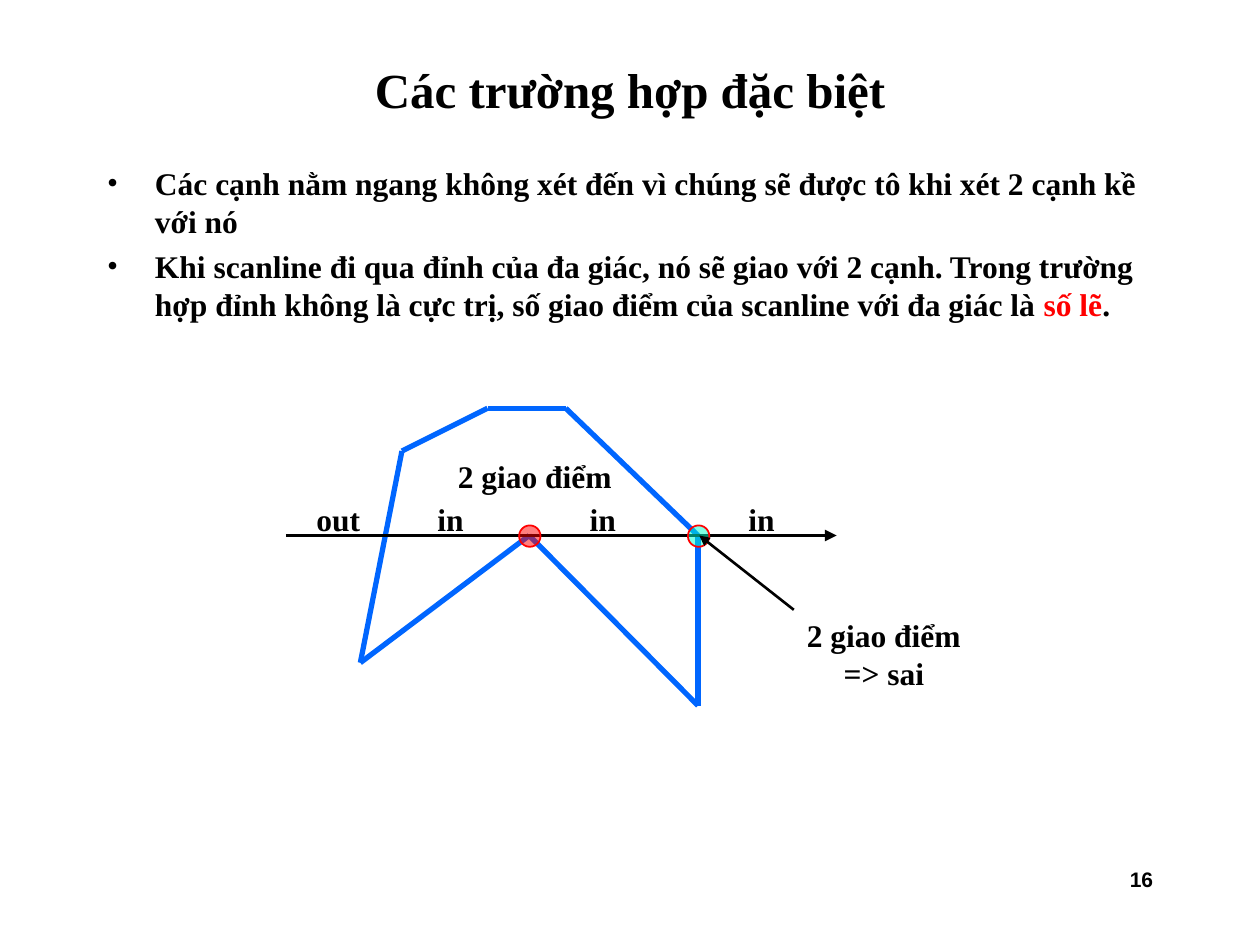
from dataclasses import dataclass

from pptx import Presentation
from pptx.dml.color import RGBColor
from pptx.enum.shapes import MSO_CONNECTOR, MSO_SHAPE
from pptx.enum.text import MSO_ANCHOR, MSO_AUTO_SIZE, PP_ALIGN
from pptx.oxml.ns import qn
from pptx.util import Emu, Pt
from lxml.etree import SubElement

PX = 9144  # 100 px to the inch
BLACK = RGBColor(0x00, 0x00, 0x00)
RED = RGBColor(0xFF, 0x00, 0x00)
BLUE = RGBColor(0x00, 0x66, 0xFF)
AQUA = RGBColor(0x00, 0xFF, 0xCC)
SERIF = "Times New Roman"

Point = tuple[int, int]


@dataclass
class Label:
    text: str
    x: int
    y: int
    w: int = 67
    h: int = 40
    size: int = 18
    font: str = SERIF
    align: PP_ALIGN = PP_ALIGN.CENTER


@dataclass
class Marker:
    center: Point
    color: RGBColor


SCAN_Y = 425
NOTCH = (420, SCAN_Y)
CORNER = (554, SCAN_Y)
POLYGON = [(449, 324), CORNER, (554, 560), NOTCH,
           (286, 526), (319, 358), (387, 324)]
MARKERS = [Marker(NOTCH, RED), Marker(CORNER, AQUA)]
LABELS = [
    Label("out", 235, 392),
    Label("in", 324, 392),
    Label("in", 445, 392),
    Label("in", 571, 392),
    Label("2 giao điểm", 353, 358, w=143),
    Label("2 giao điểm => sai", 630, 484, w=143, h=70),
    Label("16", 717, 683, w=208, h=50, size=12, font="Arial", align=PP_ALIGN.RIGHT),
]
BULLETS = [
    [("Các cạnh nằm ngang không xét đến vì chúng sẽ được tô khi xét 2 cạnh kề với nó", BLACK)],
    [("Khi scanline đi qua đỉnh của đa giác, nó sẽ giao với 2 cạnh. Trong trường hợp "
      "đỉnh không là cực trị, số giao điểm của scanline với đa giác là ", BLACK),
     ("số lẽ", RED), (".", BLACK)],
]


def px(n: int) -> Emu:
    return Emu(n * PX)


def place(sp, x: int, y: int, w: int, h: int) -> None:
    sp.left, sp.top, sp.width, sp.height = px(x), px(y), px(w), px(h)


def style_run(r, size: int, color: RGBColor = BLACK, font: str = SERIF) -> None:
    r.font.size = Pt(size)
    r.font.name = font
    r.font.bold = True
    r.font.color.rgb = color


def add_line(slide, start: Point, end: Point, color: RGBColor, width: float,
             arrow: bool = False) -> None:
    cxn = slide.shapes.add_connector(MSO_CONNECTOR.STRAIGHT, *map(px, start + end))
    cxn.line.color.rgb = color
    cxn.line.width = Pt(width)
    if arrow:
        SubElement(cxn.line._get_or_add_ln(), qn("a:tailEnd"), type="triangle")
    SubElement(cxn._element.spPr, qn("a:effectLst"))


def add_label(slide, label: Label) -> None:
    sp = slide.shapes.add_textbox(*map(px, (label.x, label.y, label.w, label.h)))
    tf = sp.text_frame
    tf.word_wrap = True
    tf.text = label.text
    p = tf.paragraphs[0]
    p.alignment = label.align
    style_run(p.runs[0], label.size, font=label.font)


def add_marker(slide, marker: Marker, size: int = 17) -> None:
    x, y = marker.center
    sp = slide.shapes.add_shape(MSO_SHAPE.OVAL, 0, 0, 0, 0)
    place(sp, x - size // 2, y - size // 2, size, size)
    sp.shadow.inherit = False
    sp.fill.solid()
    sp.fill.fore_color.rgb = marker.color
    srgb = sp._element.spPr.find(qn("a:solidFill")).find(qn("a:srgbClr"))
    SubElement(srgb, qn("a:alpha"), val="50000")
    sp.line.color.rgb = RED
    sp.line.width = Pt(1)


def fill_title(sp, text: str) -> None:
    place(sp, 75, 33, 850, 75)
    tf = sp.text_frame
    tf.text = text
    tf.auto_size = MSO_AUTO_SIZE.NONE
    tf.vertical_anchor = MSO_ANCHOR.MIDDLE
    p = tf.paragraphs[0]
    p.alignment = PP_ALIGN.CENTER
    style_run(p.runs[0], 28)


def fill_body(sp) -> None:
    place(sp, 75, 125, 850, 192)
    tf = sp.text_frame
    tf.auto_size = MSO_AUTO_SIZE.NONE
    for i, parts in enumerate(BULLETS):
        p = tf.add_paragraph() if i else tf.paragraphs[0]
        p.space_before = Pt(4.5 if i else 0)
        pPr = p._p.get_or_add_pPr()
        pPr.set("marL", str(px(38)))
        pPr.set("indent", str(px(-38)))
        SubElement(pPr, qn("a:buFont"), typeface=SERIF)
        SubElement(pPr, qn("a:buChar"), char="•")
        for text, color in parts:
            r = p.add_run()
            r.text = text
            style_run(r, 18, color)


def main() -> None:
    prs = Presentation()
    prs.slide_width, prs.slide_height = px(1000), px(750)
    slide = prs.slides.add_slide(prs.slide_layouts[1])

    # Title and bullets
    fill_title(slide.shapes.title, "Các trường hợp đặc biệt")
    fill_body(slide.placeholders[1])

    # Polygon edges and the scanline
    for start, end in zip(POLYGON, POLYGON[1:] + POLYGON[:1]):
        add_line(slide, start, end, BLUE, 3)
    add_line(slide, (227, SCAN_Y), (664, SCAN_Y), BLACK, 2.25, arrow=True)

    # Intersections, callout arrow and labels
    for marker in MARKERS:
        add_marker(slide, marker)
    add_line(slide, (630, 484), (555, SCAN_Y), BLACK, 1.5, arrow=True)
    for label in LABELS:
        add_label(slide, label)

    prs.save("out.pptx")


if __name__ == "__main__":
    main()
